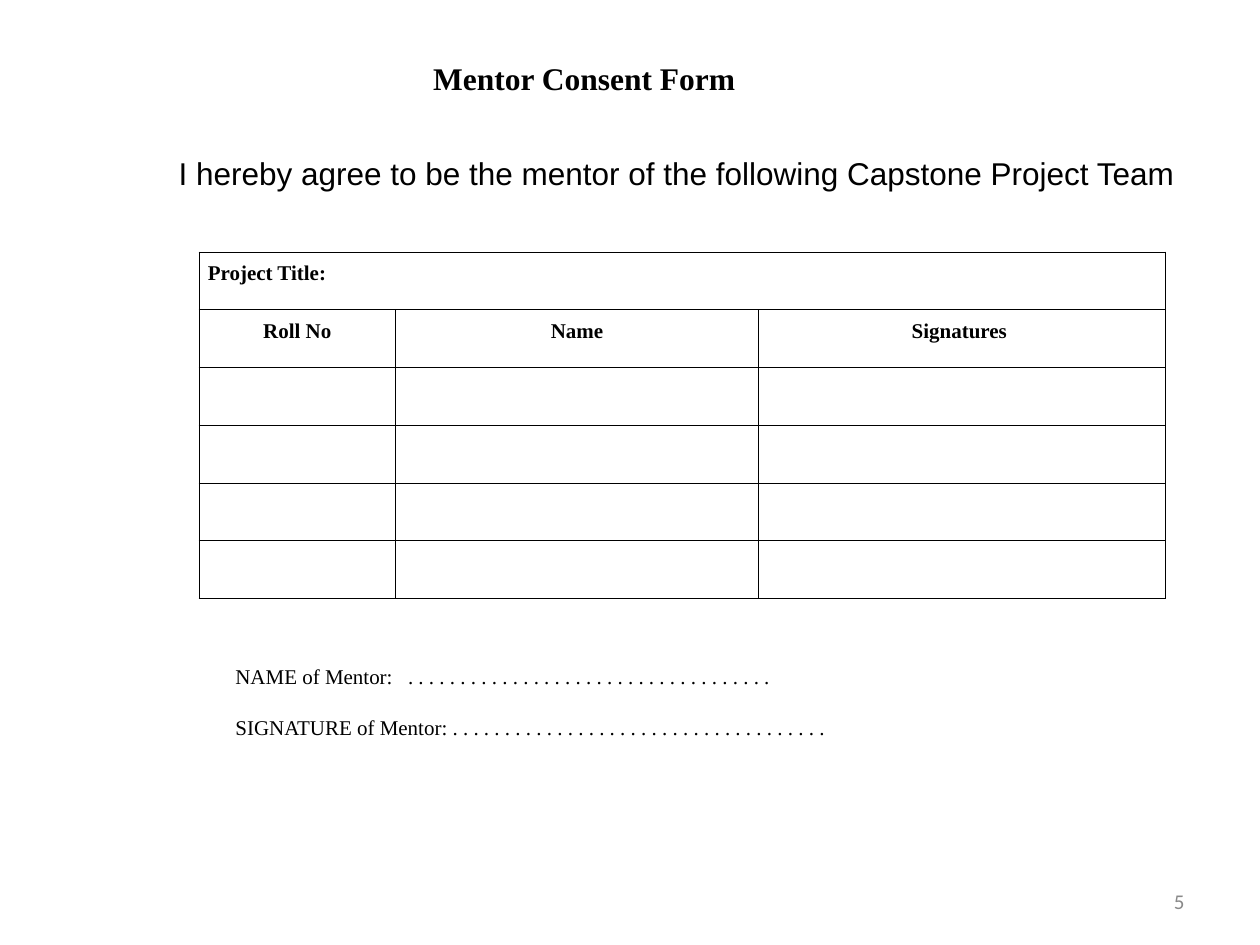
from lxml import etree
from pptx import Presentation
from pptx.dml.color import RGBColor
from pptx.enum import text as t
from pptx.oxml.ns import qn
from pptx.util import Inches, Pt

BLACK = RGBColor(0, 0, 0)
GRAY = RGBColor(0x89, 0x89, 0x89)
SERIF = "Times New Roman"


def style(par, size, face=SERIF, color=BLACK, bold=False):
    font = par.font
    font.size, font.name, font.bold = Pt(size), face, bold
    font.color.rgb = color


def add_box(slide, x, y, w, h, wrap=False, anchor=t.MSO_ANCHOR.TOP):
    box = slide.shapes.add_textbox(Inches(x), Inches(y), Inches(w), Inches(h))
    frame = box.text_frame
    frame.word_wrap = wrap
    frame.vertical_anchor = anchor
    return frame


def add_line(slide, x, y, w, h, words, face, bold=False):
    par = add_box(slide, x, y, w, h).paragraphs[0]
    par.text = words
    style(par, 18, face, bold=bold)


def set_tab(par, pos):
    tabs = etree.SubElement(par._p.get_or_add_pPr(), qn("a:tabLst"))
    etree.SubElement(tabs, qn("a:tab"), pos=str(Inches(pos)), algn="l")


def add_border(cell):
    props = cell._tc.get_or_add_tcPr()
    for i, side in enumerate(("lnL", "lnR", "lnT", "lnB")):
        line = etree.Element(qn("a:" + side), w=str(Pt(0.45)))
        fill = etree.SubElement(line, qn("a:solidFill"))
        etree.SubElement(fill, qn("a:srgbClr"), val=str(BLACK))
        props.insert(i, line)


def add_team(slide, x, y, w, h):
    rows = 6
    widths = (1.56, 2.88, 3.23)
    grid = slide.shapes.add_table(
        rows, len(widths), Inches(x), Inches(y), Inches(w), Inches(h)).table
    for col, width in zip(grid.columns, widths):
        col.width = Inches(width)
    for cell in grid.iter_cells():
        cell.fill.background()
        cell.margin_left = cell.margin_right = Inches(0.07)
        add_border(cell)

    # Title row over the column heads
    grid.cell(0, 0).merge(grid.cell(0, len(widths) - 1))
    heads = [(0, 0, "Project Title:", t.PP_ALIGN.LEFT)]
    for c, words in enumerate(("Roll No", "Name", "Signatures ")):
        heads.append((1, c, words, t.PP_ALIGN.CENTER))
    for r, c, words, align in heads:
        par = grid.cell(r, c).text_frame.paragraphs[0]
        par.text = words
        par.alignment = align
        par.line_spacing = 1.15
        style(par, 12, bold=True)


def add_sign(slide, x, y, w, h):
    frame = add_box(slide, x, y, w, h, anchor=t.MSO_ANCHOR.MIDDLE)
    name = frame.paragraphs[0]
    name.text = "NAME of Mentor:\t" + " ".join("." * 35)
    name.space_after = Pt(14.5)
    set_tab(name, 1.37)
    sign = frame.add_paragraph()
    sign.text = "SIGNATURE of Mentor: " + " ".join("." * 36)
    for par in frame.paragraphs:
        style(par, 12)


def add_number(slide, x, y, w, h):
    frame = add_box(slide, x, y, w, h, True, t.MSO_ANCHOR.MIDDLE)
    par = frame.paragraphs[0]
    par.text = "5"
    par.alignment = t.PP_ALIGN.RIGHT
    style(par, 12, "Calibri", GRAY)


def main():
    deck = Presentation()
    deck.slide_width, deck.slide_height = Inches(10), Inches(7.5)
    slide = deck.slides.add_slide(deck.slide_layouts[6])
    # Page number
    add_number(slide, 7.17, 6.95, 2.33, 0.4)
    # Mentor's name and signature
    add_sign(slide, 1.77, 5.22, 4.94, 0.7)
    # Heading and statement
    add_line(slide, 3.34, 0.42, 2.6, 0.4, "Mentor Consent Form", SERIF, True)
    add_line(slide, 1.32, 1.17, 8.2, 0.4,
             "I hereby agree to be the mentor of the following Capstone Project Team",
             "Arial")
    # Team table
    add_team(slide, 1.58, 2, 7.67, 2.75)
    deck.save("out.pptx")


if __name__ == "__main__":
    main()
